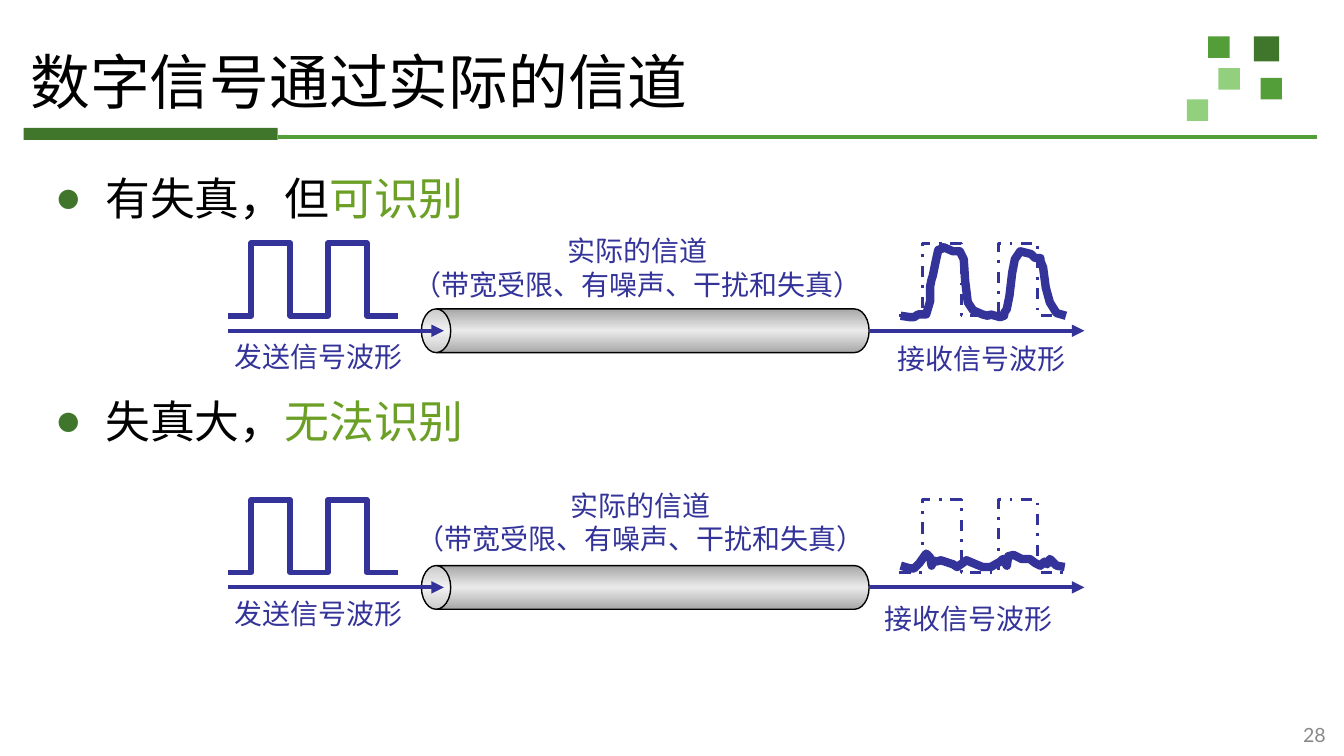
import copy

from lxml import etree
from pptx import Presentation
from pptx.dml.color import RGBColor
from pptx.enum import dml, shapes, text
from pptx.oxml import ns
from pptx.util import Pt

HUES = {"deep": "3F762B", "mid": "549E39", "pale": "93D07D", "lime": "6B9F25",
        "ink": "333399", "black": "000000", "grey": "898989",
        "edge": "A7A7A7", "shine": "EAEAEA"}
SERIF, HAN = "Times New Roman", "Noto Sans CJK SC"
UNIT = Pt(0.72)
PULSE = [(0, 54), (17, 54), (17, 0), (46, 0), (46, 54), (74, 54), (74, 0),
         (103, 0), (103, 54), (126, 54)]
CLEAR = [(1, 54), (8, 55), (11, 55), (14, 53), (20, 53), (23, 43), (23, 32), (24, 27),
         (25, 24), (27, 14), (29, 5), (32, 4), (33, 3), (40, 6), (45, 6), (48, 12),
         (49, 28), (51, 44), (55, 50), (62, 53), (66, 54), (68, 53), (75, 55), (78, 54),
         (78, 52), (80, 49), (82, 39), (84, 22), (86, 12), (90, 6), (98, 8), (101, 11),
         (105, 11), (105, 13), (107, 18), (109, 33), (112, 44), (117, 52), (124, 54)]
NOISY = [(1, 49), (8, 51), (11, 51), (15, 47), (20, 40), (23, 43), (24, 49), (25, 45),
         (27, 46), (31, 45), (40, 48), (43, 50), (50, 45), (57, 48), (62, 50), (68, 50),
         (75, 46), (77, 44), (80, 49), (81, 42), (85, 41), (91, 44), (97, 44), (101, 47),
         (105, 49), (108, 46), (110, 48), (112, 44), (117, 49), (123, 50)]


def hue(name):
    """Return the colour of that name."""
    return RGBColor.from_string(HUES[name])


def tag(parent, name, **attrs):
    """Append a drawing element to a parent."""
    return etree.SubElement(parent, ns.qn("a:" + name), attrs)


def add_run(para, words, size, color, font=SERIF):
    """Add one formatted run to a paragraph."""
    run = para.add_run()
    run.text = words
    run.font.size, run.font.name = Pt(size), font
    run.font.color.rgb = hue(color)
    tag(run.font._element, "ea", typeface=HAN)


def add_text(slide, box, lines, size, color, font=SERIF, align="CENTER", wrap=True):
    """Place a text box with one run on each line."""
    frame = slide.shapes.add_textbox(*map(Pt, box)).text_frame
    frame.word_wrap = wrap
    for i, words in enumerate(lines):
        para = frame.add_paragraph() if i else frame.paragraphs[0]
        para.alignment = text.PP_ALIGN[align]
        add_run(para, words, size, color, font)
    return frame


def set_pad(frame):
    """Give a text frame narrow margins."""
    frame.margin_left = frame.margin_right = Pt(5.4)
    frame.margin_top = frame.margin_bottom = Pt(2.7)


def add_line(slide, start, end, color, width, arrow=False):
    """Draw a straight line, with an arrowhead if asked."""
    line = slide.shapes.add_connector(shapes.MSO_CONNECTOR.STRAIGHT,
                                      *map(Pt, start + end))
    line.line.color.rgb, line.line.width = hue(color), Pt(width)
    if arrow:
        tag(line.line._get_or_add_ln(), "tailEnd", type="triangle")
    tag(line._element.spPr, "effectLst")


def add_wave(slide, x, y, points, width, dash=None):
    """Draw an open signal curve from its top left corner."""
    pen = slide.shapes.build_freeform(*points[0], scale=UNIT)
    pen.add_line_segments(points[1:], close=False)
    wave = pen.convert_to_shape(Pt(x), Pt(y))
    wave.shadow.inherit = False
    wave.fill.background()
    wave.line.color.rgb, wave.line.width = hue("ink"), Pt(width)
    if dash:
        wave.line.dash_style = dash


def add_block(slide, box, color):
    """Draw a plain filled rectangle."""
    block = slide.shapes.add_shape(shapes.MSO_SHAPE.RECTANGLE, *map(Pt, box))
    block.shadow.inherit = False
    block.fill.solid()
    block.fill.fore_color.rgb = hue(color)
    block.line.fill.background()


def add_pipe(slide, x, y, w, h):
    """Draw a lying cylinder that fills the box."""
    pipe = slide.shapes.add_shape(shapes.MSO_SHAPE.CAN, Pt(x + (w - h) / 2),
                                  Pt(y + (h - w) / 2), Pt(h), Pt(w))
    pipe.rotation, pipe.adjustments[0] = 270, 0.67
    pipe.shadow.inherit = False
    pipe.fill.gradient()
    pipe.fill.gradient_angle = 0
    stops = pipe.fill.gradient_stops
    for stop, color, place in zip(stops, ("edge", "shine"), (0, 0.5)):
        stop.color.rgb, stop.position = hue(color), place
    row = pipe._element.spPr.find(".//" + ns.qn("a:gsLst"))
    last = copy.deepcopy(row[0])
    last.set("pos", "100000")
    row.append(last)
    pipe.line.color.rgb, pipe.line.width = hue("black"), Pt(0.75)


def add_head(slide, x, y, w, h):
    """Place the title, its rule and the corner squares."""
    for dx, dy, side, color in ((661, -0.5, 13.5, "deep"), (636.5, -0.5, 11.5, "mid"),
                                (664.5, 21.8, 11.5, "mid"), (642, 16.5, 11.5, "pale"),
                                (625, 33.3, 11.5, "pale")):
        add_block(slide, (x + dx, y + dy, side, side), color)
    add_block(slide, (x + 1.8, y + 48.5, 136.2, 6.5), "deep")
    add_line(slide, (x + 138, y + 53.4), (x + 695, y + 53.4), "mid", 2)
    title = slide.shapes.title
    title.left, title.top, title.width, title.height = map(Pt, (x, y, w, h))
    frame = title.text_frame
    set_pad(frame)
    frame.auto_size = text.MSO_AUTO_SIZE.NONE
    frame.vertical_anchor = text.MSO_ANCHOR.MIDDLE
    para = frame.paragraphs[0]
    para.alignment, para.line_spacing = text.PP_ALIGN.LEFT, 0.9
    add_run(para, "数字信号通过实际的信道", 32, "black")


def add_points(slide, x, y, w, h):
    """Place the two bullet points."""
    frame = slide.shapes.add_textbox(*map(Pt, (x, y, w, h))).text_frame
    frame.word_wrap = True
    set_pad(frame)
    for i, (lead, key) in enumerate((("有失真，但", "可识别"), ("失真大，", "无法识别"))):
        para = frame.add_paragraph() if i else frame.paragraphs[0]
        props = para._p.get_or_add_pPr()
        props.set("marL", str(Pt(27)))
        props.set("indent", str(-Pt(27)))
        tag(tag(props, "buClr"), "srgbClr", val=HUES["deep"])
        tag(props, "buFont", typeface=SERIF)
        tag(props, "buChar", char="●")
        para.line_spacing = 1.1
        if i:
            para.space_before = Pt(88)
        add_run(para, lead, 24, "black")
        add_run(para, key, 24, "lime")


def add_link(slide, x, y, wave, note, got):
    """Place one channel with its sent and received signals."""
    add_pipe(slide, x + 103.4, y + 35.2, 239.8, 23.4)
    add_wave(slide, x, y, PULSE, 3)
    add_wave(slide, x + 359.4, y, PULSE, 1.5, dml.MSO_LINE.DASH_DOT)
    for left, right in ((0, 115.4), (343, 458.5)):
        add_line(slide, (x + left, y + 46.9), (x + right, y + 46.9), "ink", 2.25, True)
    add_wave(slide, x + 359.4, y, wave, 4.5)
    add_text(slide, (x + note[0], y + note[1], 257, 44),
             ("实际的信道", "（带宽受限、有噪声、干扰和失真）"), 15, "ink", wrap=False)
    add_text(slide, (x - 3.6, y + 48.2, 105, 25), ["发送信号波形"], 15, "ink", HAN,
             "LEFT", False)
    add_text(slide, (x + got[0], y + got[1], got[2], 25), ["接收信号波形"], 15, "ink", HAN)


def main():
    """Build the slide and save it."""
    deck = Presentation()
    deck.slide_width, deck.slide_height = Pt(720), Pt(405)
    slide = deck.slides.add_slide(deck.slide_layouts[5])
    add_head(slide, 10.8, 20, 693.4, 51)
    add_points(slide, 24, 85.7, 459, 243)
    add_link(slide, 122.4, 130.3, CLEAR, (90.7, -8.6), (346.3, 49, 113.8))
    add_link(slide, 122.4, 267.8, NOISY, (92.2, -9.8), (342, 51.1, 109.4))
    page = add_text(slide, (675.4, 383, 41.8, 21.6), ["28"], 10.5, "grey", "Lato", "RIGHT")
    page.vertical_anchor = text.MSO_ANCHOR.MIDDLE
    deck.save("out.pptx")


if __name__ == "__main__":
    main()
